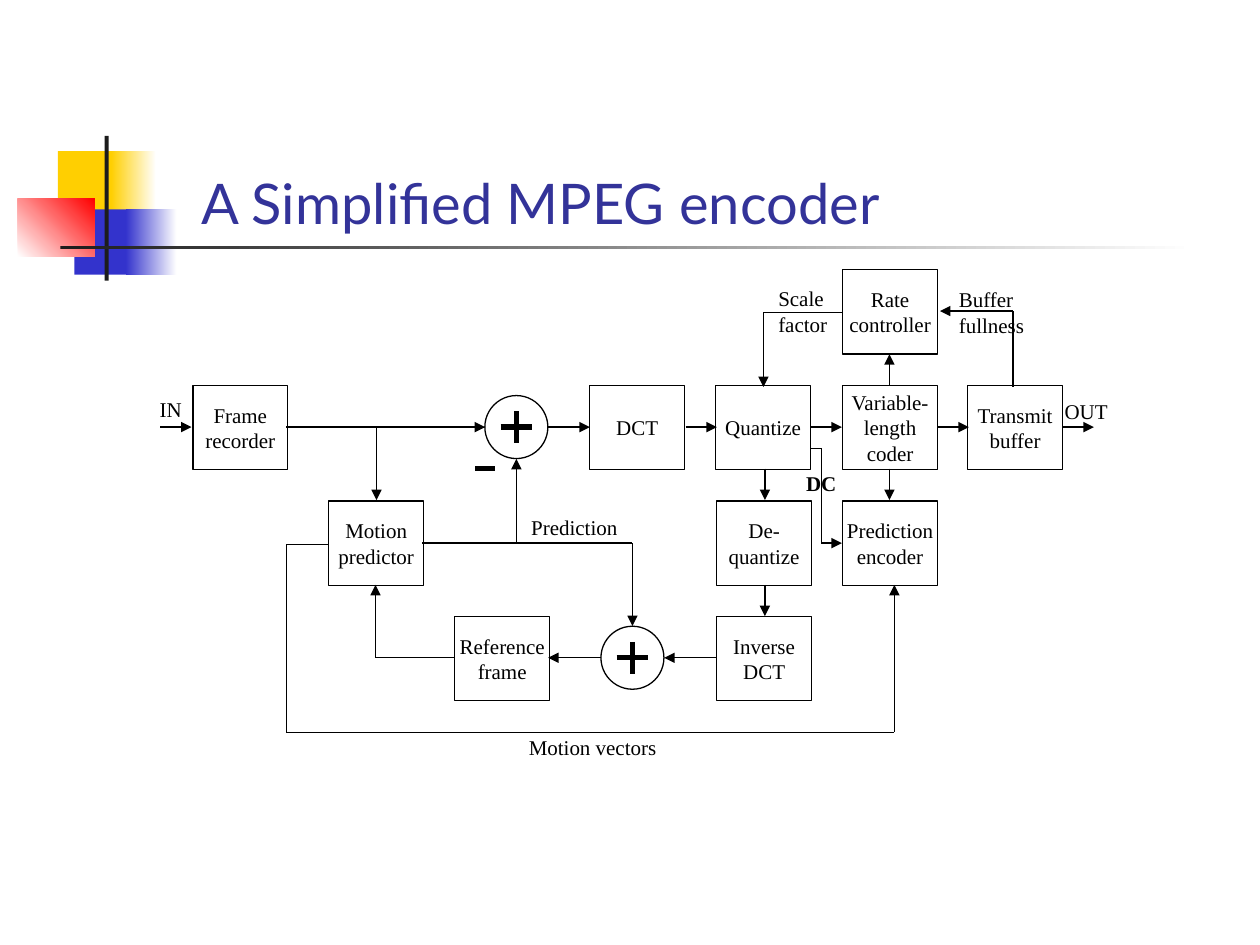
"""Build a slide with the block diagram of a simplified MPEG encoder."""
from itertools import pairwise

from lxml.etree import SubElement
from pptx import Presentation
from pptx.dml.color import RGBColor
from pptx.enum.shapes import MSO_CONNECTOR as Connector, MSO_SHAPE as Shape
from pptx.enum.text import MSO_ANCHOR as Anchor, MSO_AUTO_SIZE as AutoSize, PP_ALIGN as Align
from pptx.oxml.ns import qn
from pptx.util import Cm, Pt

BLACK = RGBColor(0x00, 0x00, 0x00)
WHITE = RGBColor(0xFF, 0xFF, 0xFF)
YELLOW = RGBColor(0xFF, 0xCF, 0x01)
BLUE = RGBColor(0x33, 0x33, 0xCC)
RED = RGBColor(0xFF, 0x00, 0x00)
CHARCOAL = RGBColor(0x1C, 0x1C, 0x1C)
TITLE_COLOR = RGBColor(0x33, 0x33, 0x99)

TITLE = "A Simplified MPEG encoder"
DECORATION = [
    ((1.17, 3.05, 1.22, 1.32), [YELLOW], 0),
    ((2.24, 3.05, 0.91, 1.32), [YELLOW, WHITE], 0),
    ((1.5, 4.22, 1.17, 1.32), [BLUE], 0),
    ((2.54, 4.22, 1.02, 1.32), [BLUE, WHITE], 0),
    ((0.36, 4.01, 1.55, 1.17), [WHITE, RED], 45),
    ((2.11, 2.74, 0.08, 2.92), [CHARCOAL], 0),
    ((1.22, 4.95, 22.86, 0.08), [CHARCOAL, WHITE], 0),
]

BOX_WIDTH, BOX_HEIGHT = 1.91, 1.7
FIRST_ROW, ROW_STEP = 5.44, 2.33
BLOCKS = [
    (0, 16.99, ["Rate", "controller"]),
    (1, 3.89, ["Frame", "recorder"]),
    (1, 11.89, ["DCT"]),
    (1, 14.43, ["Quantize"]),
    (1, 16.99, ["Variable-length", "coder"]),
    (1, 19.51, ["Transmit", "buffer"]),
    (2, 6.63, ["Motion", "predictor"]),
    (2, 14.45, ["De-", "quantize"]),
    (2, 16.99, ["Prediction", "encoder"]),
    (3, 9.17, ["Reference", "frame"]),
    (3, 14.45, ["Inverse", "DCT"]),
]

MAIN, PREDICTION, FEEDBACK = 8.61, 10.95, 13.26
SUM_SIZE, SIGN_ARM = 1.27, 0.32
SUMS = [(10.41, MAIN), (12.75, FEEDBACK)]
MINUS = [(9.58, 9.45), (9.98, 9.45)]
FLOWS = [
    [(3.23, MAIN), (3.86, MAIN)],
    [(5.77, MAIN), (9.78, MAIN)],
    [(11.05, MAIN), (11.89, MAIN)],
    [(13.82, MAIN), (14.45, MAIN)],
    [(16.33, MAIN), (16.97, MAIN)],
    [(18.9, MAIN), (19.53, MAIN)],
    [(21.41, MAIN), (22.05, MAIN)],
    [(7.59, MAIN), (7.59, 10.08)],
    [(17.93, 7.77), (17.93, 7.14)],
    [(17.93, 9.45), (17.93, 10.08)],
    [(15.42, 9.45), (15.42, 10.08)],
    [(15.42, 11.79), (15.42, 12.42)],
    [(14.43, FEEDBACK), (13.39, FEEDBACK)],
    [(12.12, FEEDBACK), (11.05, FEEDBACK)],
    [(9.17, FEEDBACK), (7.57, FEEDBACK), (7.57, 11.79)],
    [(8.51, PREDICTION), (12.75, PREDICTION), (12.75, 12.62)],
    [(10.41, PREDICTION), (10.41, 9.25)],
    [(6.63, 10.97), (5.77, 10.97), (5.77, 14.76), (18.03, 14.76), (18.03, 11.79)],
    [(16.99, 6.3), (15.39, 6.3), (15.39, 7.8)],
    [(20.42, 7.8), (20.42, 6.27), (18.95, 6.27)],
    [(16.33, 9.04), (16.56, 9.04), (16.56, PREDICTION), (16.97, PREDICTION)],
]

LABELS = [
    ((2.97, 7.87, 0.94, 0.76), ["IN"], False),
    ((21.21, 7.9, 1.37, 0.76), ["OUT"], False),
    ((15.44, 5.64, 1.5, 1.27), ["Scale", "factor"], False),
    ((19.08, 5.66, 1.83, 1.27), ["Buffer", "fullness"], False),
    ((10.46, 10.24, 2.24, 0.76), ["Prediction"], False),
    ((10.41, 14.68, 3.07, 0.76), ["Motion vectors"], False),
    ((16.0, 9.37, 1.12, 0.76), ["DC"], True),
]


def write_text(shape, lines, *, size=12, font="Times New Roman", color=BLACK, bold=False,
               align=Align.LEFT, anchor=Anchor.TOP, wrap=True, inset=0.25):
    frame = shape.text_frame
    frame.word_wrap, frame.auto_size = wrap, AutoSize.NONE
    frame.vertical_anchor = anchor
    frame.margin_left = frame.margin_right = Cm(inset)
    frame.margin_top = frame.margin_bottom = Cm(inset / 2)
    frame.text = "\n".join(lines)
    for paragraph in frame.paragraphs:
        paragraph.alignment = align
        paragraph.font.size, paragraph.font.name = Pt(size), font
        paragraph.font.bold, paragraph.font.color.rgb = bold, color


def add_shape(slide, kind, bounds):
    shape = slide.shapes.add_shape(kind, *map(Cm, bounds))
    shape.shadow.inherit = False
    return shape


def add_decoration(slide, bounds, colors, angle):
    shape = add_shape(slide, Shape.RECTANGLE, bounds)
    shape.line.fill.background()
    if len(colors) == 1:
        shape.fill.solid()
        shape.fill.fore_color.rgb = colors[0]
        return
    shape.fill.gradient()
    shape.fill.gradient_angle = angle
    for stop, color in zip(shape.fill.gradient_stops, colors):
        stop.color.rgb = color


def add_outline(slide, kind, bounds):
    shape = add_shape(slide, kind, bounds)
    shape.fill.background()
    shape.line.color.rgb, shape.line.width = BLACK, Pt(0.75)
    return shape


def add_line(slide, start, end, width=0.75, arrow=False):
    connector = slide.shapes.add_connector(Connector.STRAIGHT, *map(Cm, (*start, *end)))
    connector.line.color.rgb, connector.line.width = BLACK, Pt(width)
    if arrow:
        SubElement(connector.line._get_or_add_ln(), qn("a:tailEnd"), type="triangle")
    SubElement(connector._element.spPr, qn("a:effectLst"))


def add_sum(slide, x, y):
    radius = SUM_SIZE / 2
    add_outline(slide, Shape.OVAL, (x - radius, y - radius, SUM_SIZE, SUM_SIZE))
    add_line(slide, (x - SIGN_ARM, y), (x + SIGN_ARM, y), width=3)
    add_line(slide, (x, y - SIGN_ARM), (x, y + SIGN_ARM), width=3)


def main():
    presentation = Presentation()
    presentation.slide_width, presentation.slide_height = Cm(25.4), Cm(19.05)
    slide = presentation.slides.add_slide(presentation.slide_layouts[5])

    for bounds, colors, angle in DECORATION:
        add_decoration(slide, bounds, colors, angle)

    title = slide.shapes.title
    title.left, title.top, title.width, title.height = map(Cm, (3.81, 3.18, 14.81, 1.7))
    write_text(title, [TITLE], size=32, font="Lato", color=TITLE_COLOR, anchor=Anchor.BOTTOM)

    for row, left, lines in BLOCKS:
        top = FIRST_ROW + row * ROW_STEP
        block = add_outline(slide, Shape.RECTANGLE, (left, top, BOX_WIDTH, BOX_HEIGHT))
        write_text(block, lines, align=Align.CENTER, anchor=Anchor.MIDDLE, inset=0)

    for x, y in SUMS:
        add_sum(slide, x, y)
    add_line(slide, *MINUS, width=3)

    for points in FLOWS:
        for start, end in pairwise(points):
            add_line(slide, start, end, arrow=end == points[-1])

    for bounds, lines, bold in LABELS:
        label = slide.shapes.add_textbox(*map(Cm, bounds))
        write_text(label, lines, bold=bold, wrap=False)

    presentation.save("out.pptx")


if __name__ == "__main__":
    main()
